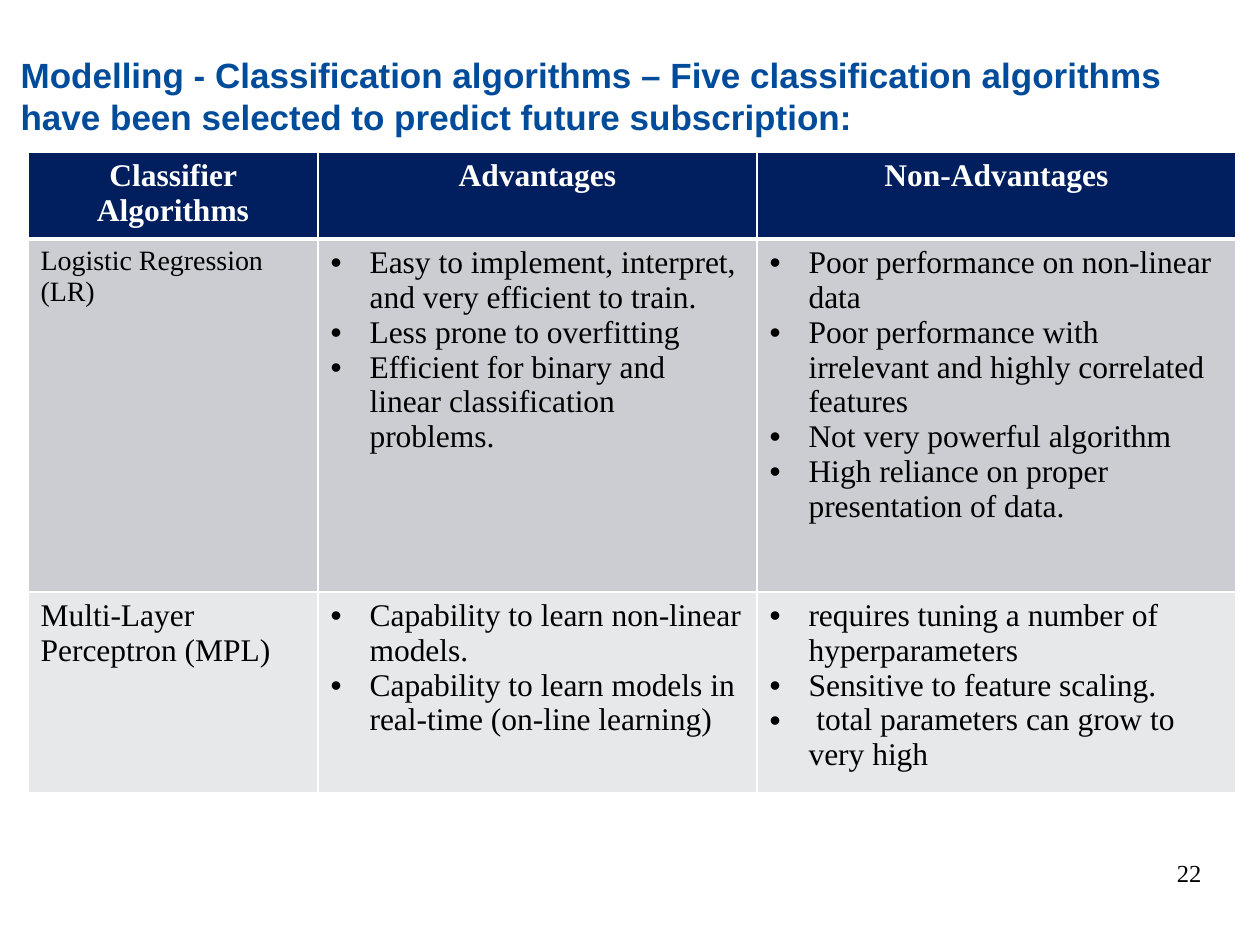
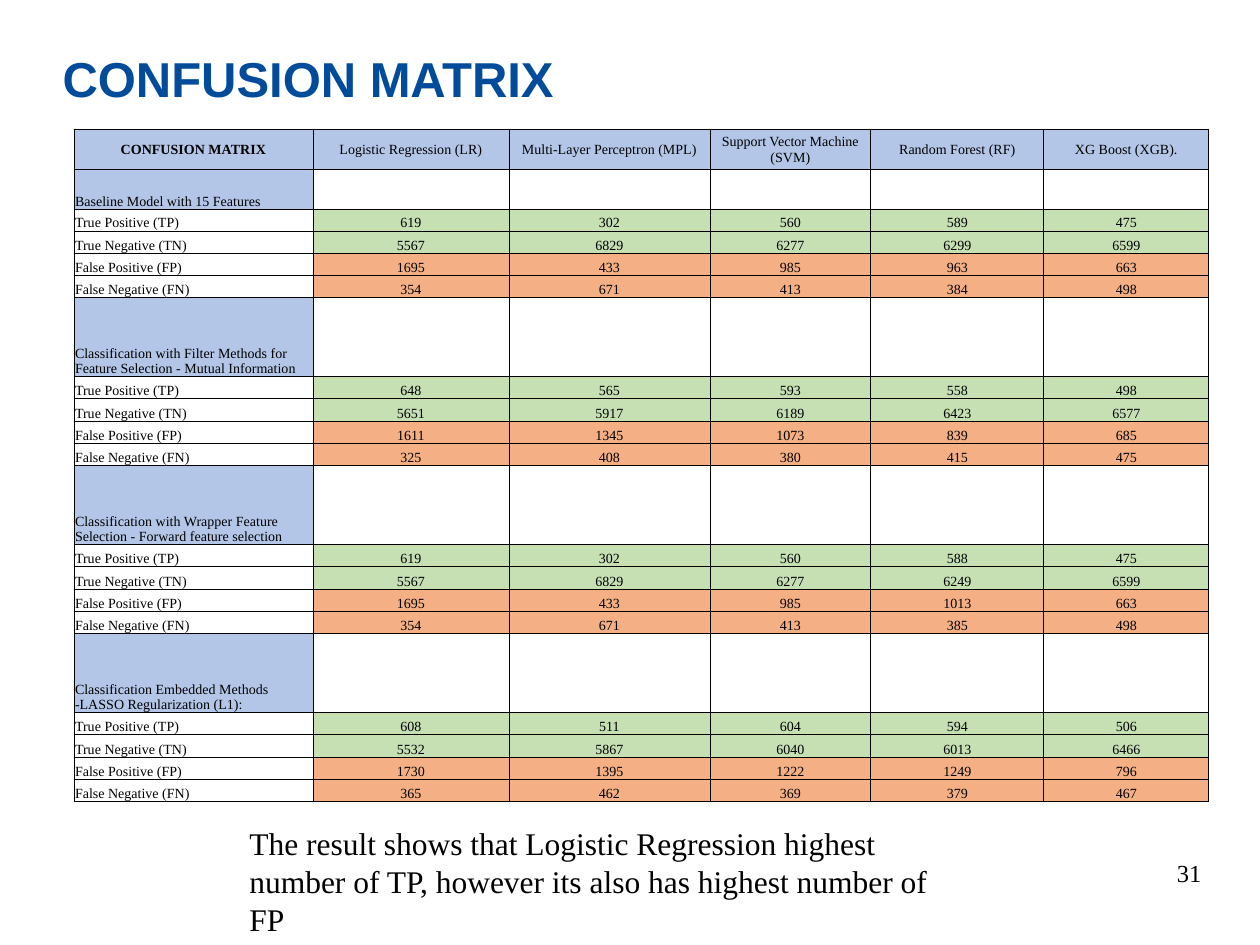
from dataclasses import dataclass
from typing import Optional

import lxml.etree
import pptx
import pptx.dml.color
import pptx.enum.text
import pptx.oxml.ns
import pptx.util

RGBColor = pptx.dml.color.RGBColor
ALIGN = pptx.enum.text.PP_ALIGN
ANCHOR = pptx.enum.text.MSO_ANCHOR
qn = pptx.oxml.ns.qn

PX_PER_INCH = 126
SERIF = "Times New Roman"
SANS = "Arial"
BLACK = RGBColor(0x00, 0x00, 0x00)
WHITE = RGBColor(0xFF, 0xFF, 0xFF)
TITLE_BLUE = RGBColor(0x00, 0x4C, 0x9B)
NAVY = RGBColor(0x01, 0x1E, 0x5E)
DARK_BAND = RGBColor(0xCC, 0xCD, 0xD2)
LIGHT_BAND = RGBColor(0xE7, 0xE8, 0xEA)
HEADING_BLUE = RGBColor(0xB4, 0xC6, 0xE7)
CORRECT_GREEN = RGBColor(0xC6, 0xE0, 0xB4)
ERROR_ORANGE = RGBColor(0xF4, 0xB0, 0x84)
BULLET_INDENT = 39
TIGHT_MARGINS = (1, 1, 1, 0)
COUNT_HEIGHTS = (22, 23, 22, 22)


@dataclass(frozen=True)
class Box:
    left: int
    top: int
    width: int
    height: int


@dataclass(frozen=True)
class TextStyle:
    size: int
    font: str = SERIF
    color: RGBColor = BLACK
    bold: bool = False
    align: ALIGN = ALIGN.LEFT
    line_pt: Optional[float] = None
    bulleted: bool = False


@dataclass(frozen=True)
class CellLook:
    style: TextStyle
    fill: Optional[RGBColor] = None
    anchor: ANCHOR = ANCHOR.TOP
    margins: Optional[tuple[int, int, int, int]] = None


@dataclass(frozen=True)
class Border:
    color: RGBColor
    width: float
    top: Optional[float] = None
    bottom: Optional[float] = None


@dataclass(frozen=True)
class Classifier:
    name: str
    name_size: int
    advantages: list[str]
    drawbacks: list[str]
    band: RGBColor


@dataclass(frozen=True)
class Experiment:
    heading: str
    height: int
    counts: list[list[int]]


CLASSIFIERS = [
    Classifier(
        "Logistic Regression (LR)", 16,
        ["Easy to implement, interpret, and very efficient to train.",
         "Less prone to overfitting",
         "Efficient for binary and linear classification problems."],
        ["Poor performance on non-linear data",
         "Poor performance with irrelevant and highly correlated features",
         "Not very powerful algorithm",
         "High reliance on proper presentation of data."],
        DARK_BAND),
    Classifier(
        "Multi-Layer Perceptron (MPL)", 18,
        ["Capability to learn non-linear models.",
         "Capability to learn models in real-time (on-line learning)"],
        ["requires tuning a number of hyperparameters",
         "Sensitive to feature scaling.",
         " total parameters can grow to very high"],
        LIGHT_BAND),
]

MODELS = ["Logistic Regression (LR)", "Multi-Layer Perceptron (MPL)",
          "Support Vector Machine (SVM)", "Random Forest (RF)", "XG Boost (XGB)."]

OUTCOMES = [("True Positive (TP)", CORRECT_GREEN), ("True Negative (TN)", CORRECT_GREEN),
            ("False Positive (FP)", ERROR_ORANGE), ("False Negative (FN)", ERROR_ORANGE)]

EXPERIMENTS = [
    Experiment("Baseline Model with 15 Features", 40,
               [[619, 302, 560, 589, 475],
                [5567, 6829, 6277, 6299, 6599],
                [1695, 433, 985, 963, 663],
                [354, 671, 413, 384, 498]]),
    Experiment("Classification with Filter Methods for Feature Selection - Mutual Information", 79,
               [[648, 565, 593, 558, 498],
                [5651, 5917, 6189, 6423, 6577],
                [1611, 1345, 1073, 839, 685],
                [325, 408, 380, 415, 475]]),
    Experiment("Classification with Wrapper Feature Selection - Forward feature selection", 79,
               [[619, 302, 560, 588, 475],
                [5567, 6829, 6277, 6249, 6599],
                [1695, 433, 985, 1013, 663],
                [354, 671, 413, 385, 498]]),
    Experiment("Classification Embedded Methods -LASSO Regularization (L1):", 79,
               [[608, 511, 604, 594, 506],
                [5532, 5867, 6040, 6013, 6466],
                [1730, 1395, 1222, 1249, 796],
                [365, 462, 369, 379, 467]]),
]


def px(length: int) -> pptx.util.Emu:
    return pptx.util.Emu(round(length * 914400 / PX_PER_INCH))


def write_lines(frame, lines: list[str], style: TextStyle) -> None:
    frame.text = "\n".join(lines)
    for paragraph in frame.paragraphs:
        if style.bulleted:
            properties = paragraph._p.get_or_add_pPr()
            properties.set("marL", str(px(BULLET_INDENT)))
            properties.set("indent", str(-px(BULLET_INDENT)))
            lxml.etree.SubElement(properties, qn("a:buFont")).set("typeface", SANS)
            lxml.etree.SubElement(properties, qn("a:buChar")).set("char", "•")
        paragraph.alignment = style.align
        if style.line_pt:
            paragraph.line_spacing = pptx.util.Pt(style.line_pt)
        for run in paragraph.runs:
            run.font.name = style.font
            run.font.size = pptx.util.Pt(style.size)
            run.font.bold = style.bold
            run.font.color.rgb = style.color


def place(shape, box: Box) -> None:
    shape.left, shape.top = px(box.left), px(box.top)
    shape.width, shape.height = px(box.width), px(box.height)


def fill_frame(shape, text: str, style: TextStyle, anchor: ANCHOR = ANCHOR.TOP) -> None:
    frame = shape.text_frame
    frame.word_wrap = True
    frame.auto_size = pptx.enum.text.MSO_AUTO_SIZE.NONE
    frame.vertical_anchor = anchor
    write_lines(frame, [text], style)


def add_text(slide, box: Box, text: str, style: TextStyle, anchor: ANCHOR = ANCHOR.TOP) -> None:
    label = slide.shapes.add_textbox(0, 0, 0, 0)
    place(label, box)
    fill_frame(label, text, style, anchor)


def add_titled_slide(deck, title: str, box: Box, size: int, line_pt: float, number: int):
    slide = deck.slides.add_slide(deck.slide_layouts[5])
    place(slide.shapes.title, box)
    fill_frame(slide.shapes.title, title,
               TextStyle(size, SANS, TITLE_BLUE, True, line_pt=line_pt))
    add_text(slide, Box(1123, 848, 91, 50), str(number),
             TextStyle(14, align=ALIGN.RIGHT), ANCHOR.MIDDLE)
    return slide


def draw_borders(cell, border: Border) -> None:
    widths = {"a:lnL": border.width, "a:lnR": border.width,
              "a:lnT": border.top or border.width, "a:lnB": border.bottom or border.width}
    properties = cell._tc.get_or_add_tcPr()
    for position, (side, width) in enumerate(widths.items()):
        line = lxml.etree.Element(qn(side))
        line.set("w", str(pptx.util.Pt(width)))
        solid = lxml.etree.SubElement(line, qn("a:solidFill"))
        lxml.etree.SubElement(solid, qn("a:srgbClr")).set("val", str(border.color))
        properties.insert(position, line)


def add_grid(slide, left: int, top: int, widths: list[int], heights: list[int]):
    box = Box(left, top, sum(widths), sum(heights))
    grid = slide.shapes.add_table(len(heights), len(widths), px(box.left), px(box.top),
                                  px(box.width), px(box.height)).table
    grid.first_row = grid.horz_banding = False
    for column, width in zip(grid.columns, widths):
        column.width = px(width)
    for row, height in zip(grid.rows, heights):
        row.height = px(height)
    return grid


def fill_cell(cell, lines: list[str], look: CellLook, border: Border) -> None:
    write_lines(cell.text_frame, lines, look.style)
    cell.vertical_anchor = look.anchor
    if look.margins:
        (cell.margin_left, cell.margin_top,
         cell.margin_right, cell.margin_bottom) = map(px, look.margins)
    if look.fill is None:
        cell.fill.background()
    else:
        cell.fill.solid()
        cell.fill.fore_color.rgb = look.fill
    draw_borders(cell, border)


def build_classifier_slide(deck) -> None:
    slide = add_titled_slide(
        deck,
        "Modelling - Classification algorithms – Five classification algorithms "
        "have been selected to predict future subscription:",
        Box(8, 47, 1205, 97), 20, 24, 22)
    comparison = add_grid(slide, 28, 152, [290, 439, 479], [87, 353, 201])
    heading = CellLook(TextStyle(18, color=WHITE, bold=True, align=ALIGN.CENTER), NAVY)
    for column, text in enumerate(["Classifier Algorithms", "Advantages", "Non-Advantages"]):
        fill_cell(comparison.cell(0, column), [text], heading, Border(WHITE, 1, bottom=3))
    for row, classifier in enumerate(CLASSIFIERS, start=1):
        border = Border(WHITE, 1, top=3 if row == 1 else None)
        name = CellLook(TextStyle(classifier.name_size), classifier.band)
        points = CellLook(TextStyle(18, bulleted=True), classifier.band)
        fill_cell(comparison.cell(row, 0), [classifier.name], name, border)
        fill_cell(comparison.cell(row, 1), classifier.advantages, points, border)
        fill_cell(comparison.cell(row, 2), classifier.drawbacks, points, border)


def matrix_look(fill: Optional[RGBColor], align: ALIGN = ALIGN.CENTER,
                anchor: ANCHOR = ANCHOR.BOTTOM, bold: bool = False) -> CellLook:
    return CellLook(TextStyle(8, bold=bold, align=align), fill, anchor, TIGHT_MARGINS)


def build_matrix_slide(deck) -> None:
    slide = add_titled_slide(deck, "CONFUSION MATRIX", Box(50, 54, 1164, 76), 28, 26.6, 31)
    heights = [40]
    rows = [[("CONFUSION MATRIX", matrix_look(HEADING_BLUE, anchor=ANCHOR.MIDDLE, bold=True))]
            + [(model, matrix_look(HEADING_BLUE, anchor=ANCHOR.MIDDLE)) for model in MODELS]]
    for experiment in EXPERIMENTS:
        heights += [experiment.height, *COUNT_HEIGHTS]
        rows.append([(experiment.heading, matrix_look(HEADING_BLUE, ALIGN.LEFT))]
                    + [("", matrix_look(None))] * len(MODELS))
        for (outcome, color), counts in zip(OUTCOMES, experiment.counts):
            rows.append([(outcome, matrix_look(None, ALIGN.LEFT))]
                        + [(str(count), matrix_look(color)) for count in counts])
    matrix = add_grid(slide, 74, 129, [239, 196, 201, 161, 173, 165], heights)
    for row, entries in enumerate(rows):
        for column, (text, look) in enumerate(entries):
            fill_cell(matrix.cell(row, column), [text], look, Border(BLACK, 0.5))
    add_text(slide, Box(237, 818, 718, 127),
             "The result shows that Logistic Regression highest number of TP, "
             "however its also has highest number of FP",
             TextStyle(18, line_pt=21.7))


def main() -> None:
    deck = pptx.Presentation()
    deck.slide_width, deck.slide_height = px(1260), px(945)
    build_classifier_slide(deck)
    build_matrix_slide(deck)
    deck.save("out.pptx")


if __name__ == "__main__":
    main()
